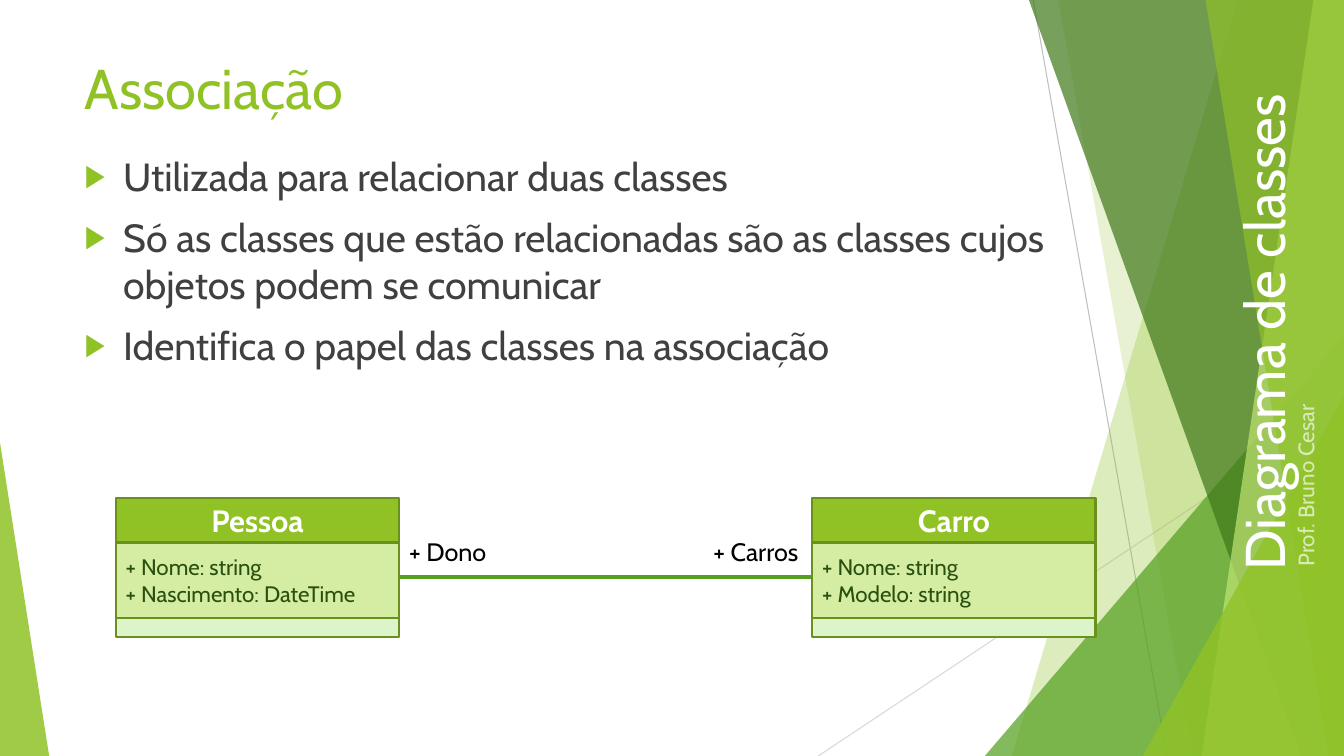
from dataclasses import dataclass

from lxml.etree import SubElement
from pptx import Presentation
from pptx.dml.color import RGBColor
from pptx.enum.shapes import MSO_CONNECTOR as Connector, MSO_SHAPE as Preset
from pptx.enum.text import MSO_ANCHOR as Anchor, MSO_AUTO_SIZE as AutoSize, PP_ALIGN as Align
from pptx.oxml.ns import qn
from pptx.util import Cm, Pt


@dataclass(frozen=True)
class Theme:
    font: str = "Cabin"
    green: str = "90C226"
    grass: str = "54A021"
    forest: str = "3F7819"
    lime: str = "C0E474"
    outline: str = "6B901C"
    attribute_fill: str = "D5EDA2"
    method_fill: str = "DBF4CA"
    attribute_text: str = "2A5010"
    body_text: str = "404040"
    black: str = "000000"
    white: str = "FFFFFF"
    gray: str = "BFBFBF"
    light_gray: str = "D9D9D9"
    title_size: int = 40
    body_size: int = 28
    class_size: int = 22
    label_size: int = 18
    small_size: int = 16


THEME = Theme()
WIDTH, HEIGHT = 33.87, 19.05
CLASS_WIDTH, CLASS_TOP = 7.14, 12.55
NAME_HEIGHT, ATTRIBUTE_HEIGHT, METHOD_HEIGHT = 1.12, 1.9, 0.48


def rgb(value):
    return RGBColor.from_string(value)


def set_alpha(element, percent):
    color = element.find(".//" + qn("a:srgbClr"))
    SubElement(color, qn("a:alpha")).set("val", str(percent * 1000))


def place(shape, left, top, width, height):
    shape.left, shape.top = Cm(left), Cm(top)
    shape.width, shape.height = Cm(width), Cm(height)


def add_run(paragraph, text, size, color, bold=False):
    run = paragraph.add_run()
    run.text = text
    run.font.name = THEME.font
    run.font.size = Pt(size)
    run.font.bold = bold
    run.font.color.rgb = rgb(color)
    return run


def prepare_frame(shape, anchor=Anchor.TOP):
    frame = shape.text_frame
    frame.word_wrap = True
    frame.auto_size = AutoSize.NONE
    frame.vertical_anchor = anchor
    return frame


# Backdrop
def add_line(shapes, start, end, color, width):
    line = shapes.add_connector(Connector.STRAIGHT, *map(Cm, start + end))
    line.line.color.rgb = rgb(color)
    line.line.width = Pt(width)
    SubElement(line._element.spPr, qn("a:effectLst"))


def paint_translucent(shape, color, opacity):
    shape.shadow.inherit = False
    shape.fill.solid()
    shape.fill.fore_color.rgb = rgb(color)
    shape.line.fill.background()
    set_alpha(shape._element.spPr, opacity)


def add_facet(shapes, top_x, bottom_x, color, opacity):
    """Band from a slanted left edge to the right edge of the slide."""
    builder = shapes.build_freeform(Cm(top_x), 0)
    corners = [(WIDTH, 0), (WIDTH, HEIGHT), (bottom_x, HEIGHT)]
    builder.add_line_segments([(Cm(x), Cm(y)) for x, y in corners])
    paint_translucent(builder.convert_to_shape(), color, opacity)


def add_corner(shapes, left, top, width, apex, color, opacity):
    triangle = shapes.add_shape(Preset.ISOSCELES_TRIANGLE, Cm(left), Cm(top),
                                Cm(width), Cm(HEIGHT - top))
    triangle.adjustments[0] = apex
    paint_translucent(triangle, color, opacity)


def add_backdrop(slide):
    shapes = slide.shapes.add_group_shape().shapes
    add_line(shapes, (26.04, 0), (29.41, HEIGHT), THEME.gray, 0.75)
    add_line(shapes, (WIDTH, 10.24), (20.62, HEIGHT), THEME.light_gray, 0.75)
    add_facet(shapes, 31.19, 25.5, THEME.green, 30)
    add_facet(shapes, 26.67, 30.05, THEME.green, 20)
    add_corner(shapes, 24.82, 8.46, WIDTH - 24.82, 1, THEME.grass, 72)
    add_facet(shapes, 25.93, 32.79, THEME.forest, 70)
    add_facet(shapes, 33.1, 30.28, THEME.lime, 70)
    add_facet(shapes, 30.38, 33.48, THEME.green, 65)
    add_corner(shapes, 28.8, 9.98, WIDTH - 28.8, 1, THEME.green, 80)
    add_corner(shapes, 0, 11.15, 1.24, 0, THEME.green, 85)


# Title, list and free text
def fill_title(slide, text):
    title = slide.shapes.title
    slide.shapes._spTree.append(title._element)  # in front of the backdrop
    place(title, 1.88, 1.22, 23.88, 2.36)
    paragraph = prepare_frame(title).paragraphs[0]
    paragraph.alignment = Align.LEFT
    add_run(paragraph, text, THEME.title_size, THEME.green)


def add_bullet(paragraph):
    properties = paragraph._p.get_or_add_pPr()
    properties.set("marL", str(Cm(0.97)))
    properties.set("indent", str(-Cm(0.97)))
    color = SubElement(properties, qn("a:buClr"))
    SubElement(color, qn("a:srgbClr")).set("val", THEME.green)
    SubElement(properties, qn("a:buSzPct")).set("val", "80000")
    SubElement(properties, qn("a:buChar")).set("char", "▶")


def fill_list(slide, items):
    body = slide.placeholders[1]
    slide.shapes._spTree.append(body._element)
    place(body, 1.88, 3.71, 26.59, 5.97)
    frame = prepare_frame(body)
    for index, item in enumerate(items):
        paragraph = frame.add_paragraph() if index else frame.paragraphs[0]
        add_bullet(paragraph)
        paragraph.space_before = Pt(10 if index else 0)
        add_run(paragraph, item, THEME.body_size, THEME.body_text)


def add_text(slide, box, text, size, color, align=Align.LEFT, rotation=0):
    text_box = slide.shapes.add_textbox(*map(Cm, box))
    text_box.rotation = rotation
    paragraph = prepare_frame(text_box).paragraphs[0]
    paragraph.alignment = align
    return add_run(paragraph, text, size, color)


# Class diagram
def add_compartment(shapes, left, top, height, fill):
    box = shapes.add_shape(Preset.RECTANGLE, Cm(left), Cm(top), Cm(CLASS_WIDTH), Cm(height))
    box.shadow.inherit = False
    box.fill.solid()
    box.fill.fore_color.rgb = rgb(fill)
    box.line.color.rgb = rgb(THEME.outline)
    box.line.width = Pt(1.5)
    return prepare_frame(box, Anchor.MIDDLE).paragraphs[0]


def add_class(slide, left, name, attributes):
    shapes = slide.shapes.add_group_shape().shapes
    heading = add_compartment(shapes, left, CLASS_TOP, NAME_HEIGHT, THEME.green)
    heading.alignment = Align.CENTER
    add_run(heading, name, THEME.class_size, THEME.white, bold=True)

    attribute_top = CLASS_TOP + NAME_HEIGHT
    listing = add_compartment(shapes, left, attribute_top, ATTRIBUTE_HEIGHT, THEME.attribute_fill)
    listing.alignment = Align.LEFT
    for index, attribute in enumerate(attributes):
        if index:
            listing.add_line_break()
        add_run(listing, attribute, THEME.small_size, THEME.attribute_text)

    add_compartment(shapes, left, attribute_top + ATTRIBUTE_HEIGHT, METHOD_HEIGHT,
                    THEME.method_fill)


def main():
    presentation = Presentation()
    presentation.slide_width, presentation.slide_height = Cm(WIDTH), Cm(HEIGHT)
    slide = presentation.slides.add_slide(presentation.slide_layouts[1])

    add_backdrop(slide)
    fill_title(slide, "Associação")
    fill_list(slide, [
        "Utilizada para relacionar duas classes",
        "Só as classes que estão relacionadas são as classes cujos objetos podem se comunicar",
        "Identifica o papel das classes na associação",
    ])

    # Vertical course name and author
    add_text(slide, (24.99, 6.78, 13.72, 1.96), "Diagrama de classes",
             THEME.title_size, THEME.white, rotation=270)
    author = add_text(slide, (29.97, 10.92, 6.07, 1.14), "Prof. Bruno Cesar",
                      THEME.small_size, THEME.white, rotation=270)
    set_alpha(author._r, 65)

    # Association between the two classes, with its roles
    add_line(slide.shapes, (7.67, 14.53), (22.02, 14.53), THEME.grass, 3)
    add_class(slide, 2.92, "Pessoa", ["+ Nome: string", "+ Nascimento: DateTime"])
    add_class(slide, 20.47, "Carro", ["+ Nome: string", "+ Modelo: string"])
    add_text(slide, (17.3, 13.39, 3.07, 1.02), "+ Carros",
             THEME.label_size, THEME.black, Align.RIGHT)
    add_text(slide, (10.06, 13.39, 3.07, 1.02), "+ Dono", THEME.label_size, THEME.black)

    presentation.save("out.pptx")


if __name__ == "__main__":
    main()
